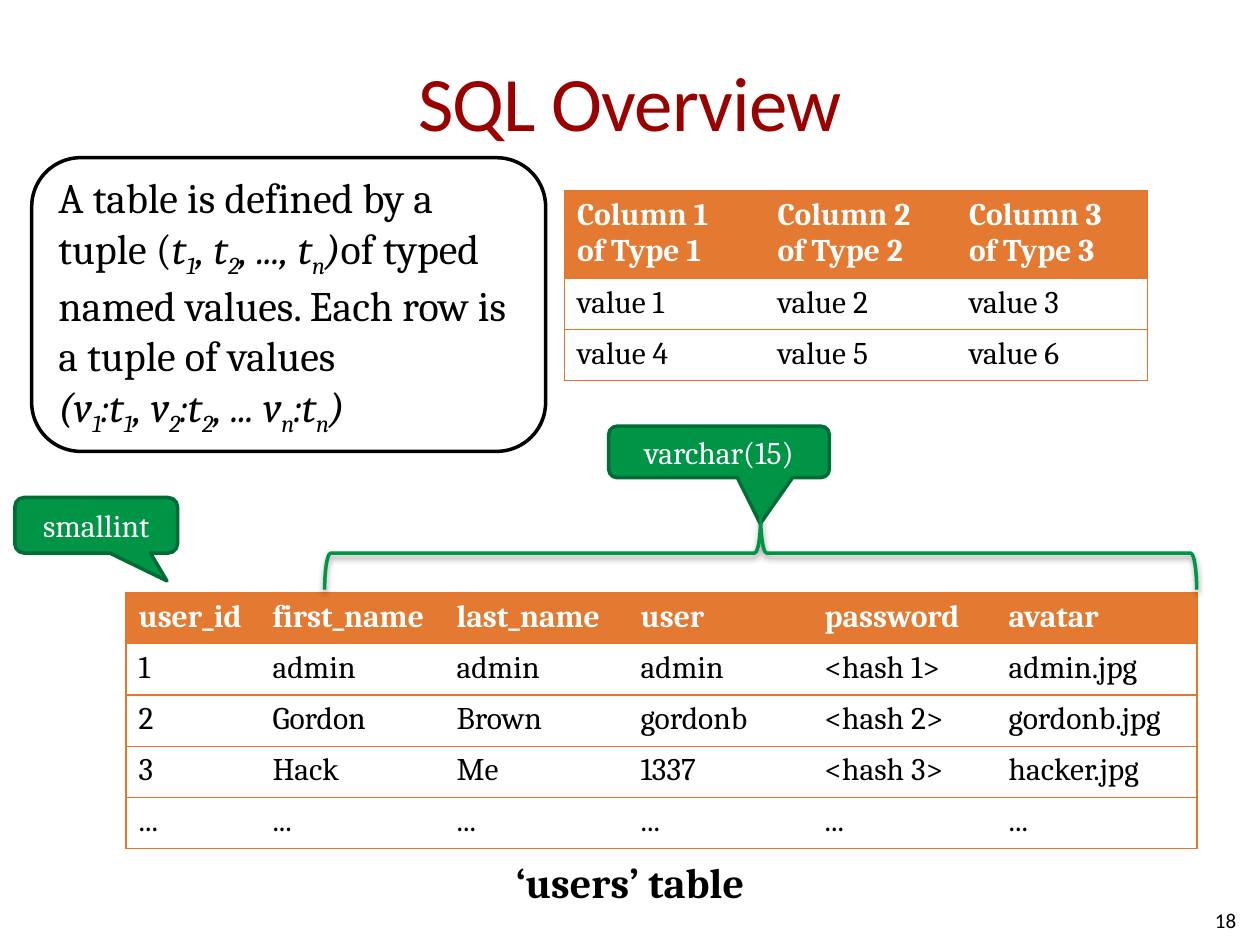
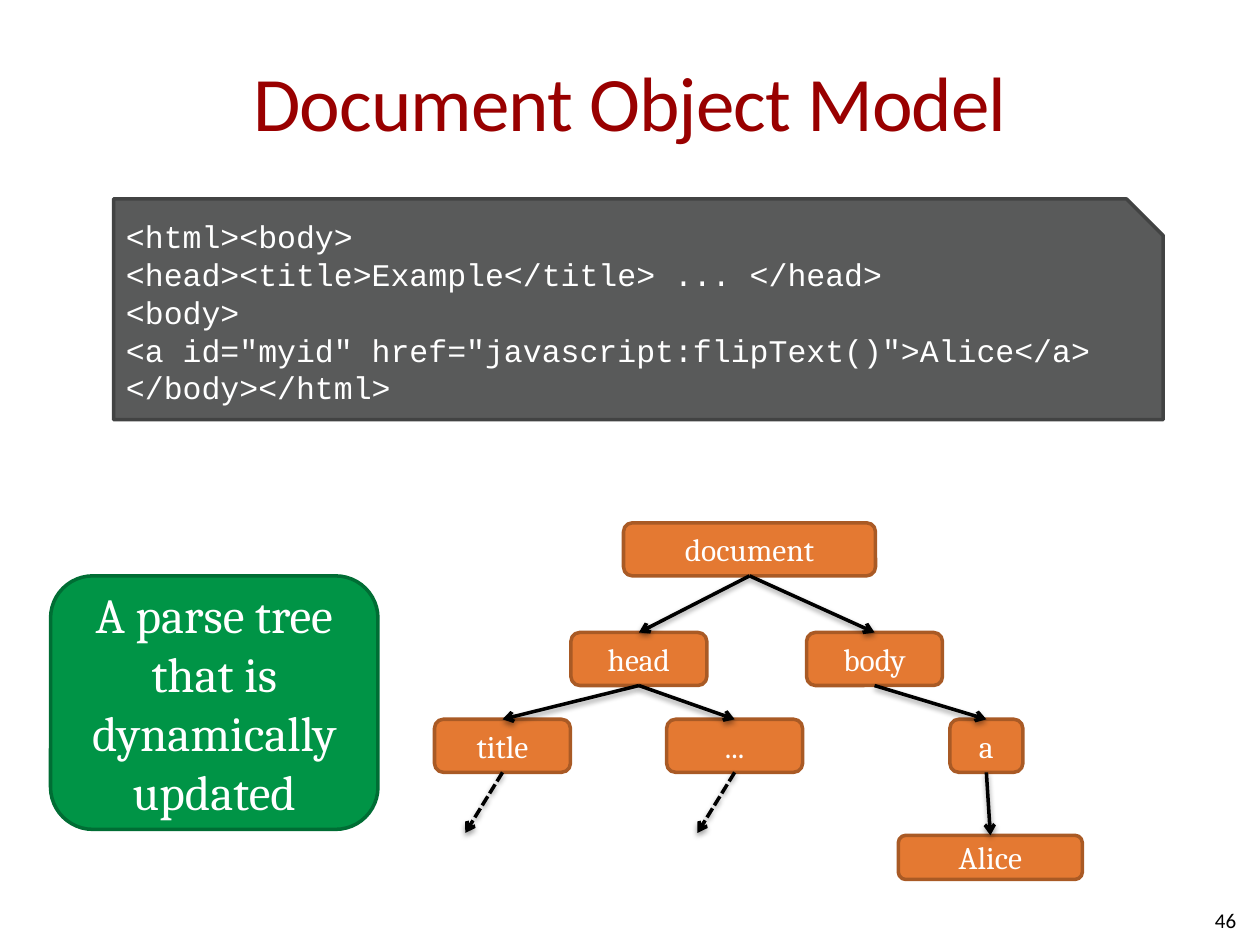
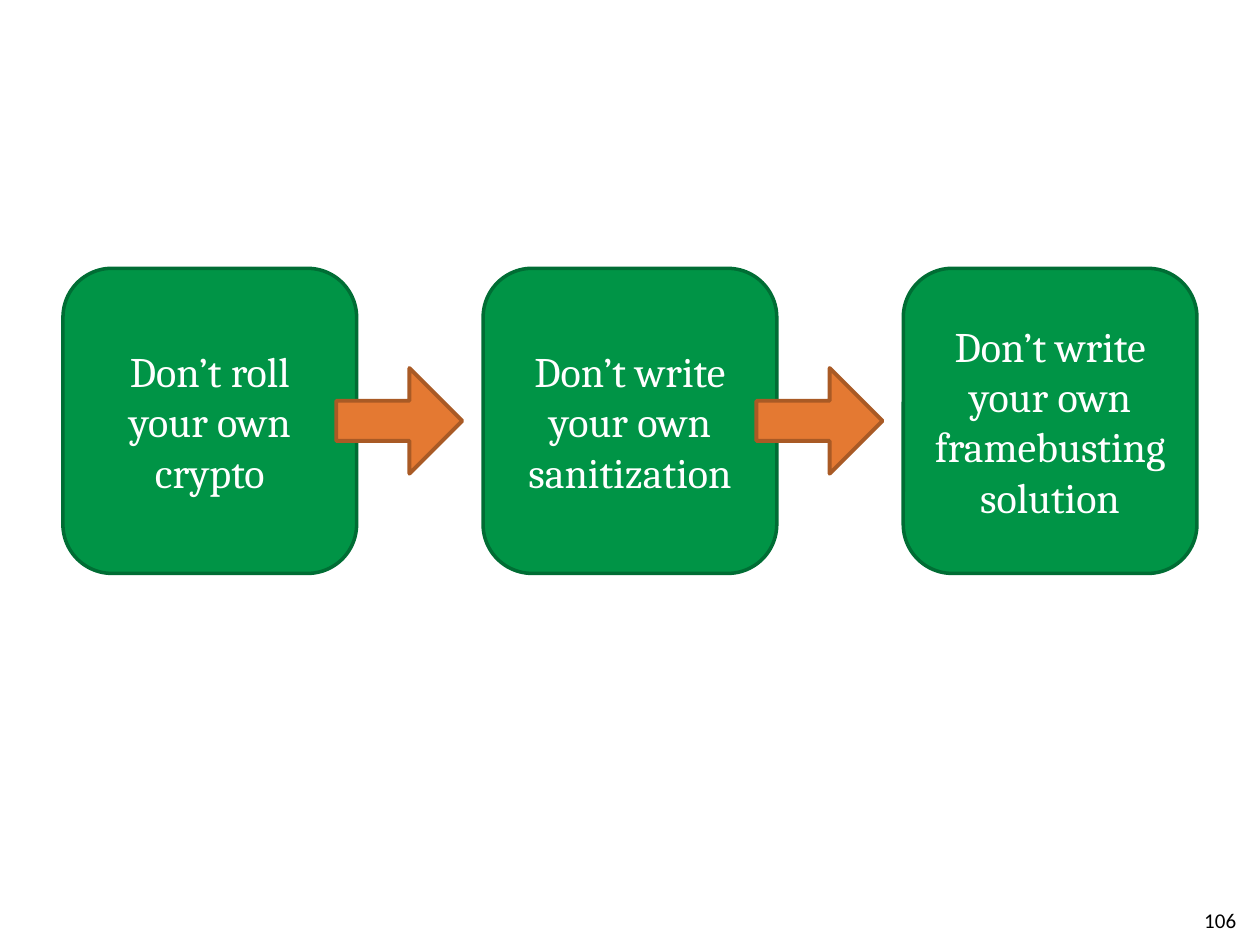
from lxml import etree
from pptx import Presentation
from pptx.dml.color import RGBColor
from pptx.enum.dml import MSO_LINE
from pptx.enum.shapes import MSO_CONNECTOR, MSO_SHAPE
from pptx.enum.text import MSO_ANCHOR, PP_ALIGN
from pptx.oxml import parse_xml
from pptx.oxml.ns import nsdecls, qn
from pptx.util import Cm, Pt

WHITE = RGBColor(0xFF, 0xFF, 0xFF)
BLACK = RGBColor(0, 0, 0)
RED = RGBColor(0x99, 0, 0)
GREEN = RGBColor(0, 0x94, 0x46)
DARK_GREEN = RGBColor(0, 0x6D, 0x34)
ORANGE = RGBColor(0xE4, 0x79, 0x32)
DARK_ORANGE = RGBColor(0xA9, 0x5A, 0x25)
BORDER = RGBColor(0xE3, 0x75, 0x2D)
GRAY = RGBColor(0x59, 0x5A, 0x5A)
DARK_GRAY = RGBColor(0x42, 0x43, 0x43)
SERIF, SANS, MONO = "Cambria", "Calibri", "Courier New"

TYPE_ROWS = [
    ["Column 1\vof Type 1", "Column 2\vof Type 2", "Column 3\vof Type 3"],
    ["value 1", "value 2", "value 3"],
    ["value 4", "value 5", "value 6"],
]
USER_ROWS = [
    ["user_id", "first_name", "last_name", "user", "password", "avatar"],
    ["1", "admin", "admin", "admin", "<hash 1>", "admin.jpg"],
    ["2", "Gordon", "Brown", "gordonb", "<hash 2>", "gordonb.jpg"],
    ["3", "Hack", "Me", "1337", "<hash 3>", "hacker.jpg"],
    ["..."] * 6,
]
DEFINITION = [
    ("A table is defined by a tuple (", ""), ("t", "i"), ("1", "sub"),
    (", t", "i"), ("2", "sub"), (", ..., t", "i"), ("n", "sub"), (")", "i"),
    ("of typed named values. Each row is a tuple of values", ""), ("\v", ""),
    ("(v", "i"), ("1", "sub"), (":t", "i"), ("1", "sub"),
    (", v", "i"), ("2", "sub"), (":t", "i"), ("2", "sub"),
    (", ... v", "i"), ("n", "sub"), (":t", "i"), ("n", "sub"), (")", "i"),
]
CALLOUTS = [
    ("smallint", (0.3, 10.03, 3.28, 1.12), (0.435, 1.001)),
    ("varchar(15)", (12.27, 8.59, 4.45, 1.04), (0.187, 1.392)),
]
CODE = [
    "<html><body>",
    "<head><title>Example</title> ... </head>",
    "<body>",
    '<a id="myid" href="javascript:flipText()">Alice</a>',
    "</body></html>",
]
NODES = {
    "document": (12.57, 10.54, 5.08, 1.07),
    "head": (11.51, 12.75, 2.74, 1.07),
    "body": (16.26, 12.75, 2.74, 1.07),
    "title": (8.76, 14.5, 2.74, 1.07),
    "...": (13.44, 14.5, 2.74, 1.07),
    "a": (19.15, 14.5, 1.47, 1.07),
    "Alice": (18.11, 16.84, 3.71, 0.89),
}
LINKS = [("document", "head"), ("document", "body"), ("head", "title"),
         ("head", "..."), ("body", "a"), ("a", "Alice")]
OPEN_NODES = ["title", "..."]
RULES = [
    "Don’t roll your own crypto",
    "Don’t write your own sanitization",
    "Don’t write your own framebusting solution",
]


def box(values):
    return [Cm(v) for v in values]


def style(p, size, color, font=SERIF, align=PP_ALIGN.LEFT, bold=False):
    p.alignment = align
    p.font.size, p.font.name, p.font.bold = Pt(size), font, bold
    p.font.color.rgb = color


def add_shadow(s):
    spPr = s._element.spPr
    for old in spPr.findall(qn("a:effectLst")):
        spPr.remove(old)
    spPr.append(parse_xml(
        f'<a:effectLst {nsdecls("a")}><a:outerShdw blurRad="40000" dist="20000" '
        'dir="5400000" rotWithShape="0"><a:srgbClr val="000000">'
        '<a:alpha val="38000"/></a:srgbClr></a:outerShdw></a:effectLst>'))


def add_label(slide, text, place, size, font=SERIF, align=PP_ALIGN.CENTER, bold=False):
    s = slide.shapes.add_textbox(*box(place))
    tf = s.text_frame
    tf.word_wrap = True
    tf.text = text
    style(tf.paragraphs[0], size, BLACK, font, align, bold)
    return s


def add_box(slide, kind, place, fill, line, text="", size=18, width=2):
    s = slide.shapes.add_shape(kind, *box(place))
    s.shadow.inherit = False
    if fill is None:
        s.fill.background()
    else:
        s.fill.solid()
        s.fill.fore_color.rgb = fill
    s.line.color.rgb = line
    s.line.width = Pt(width)
    if text:
        s.text_frame.text = text
        style(s.text_frame.paragraphs[0], size, WHITE, align=PP_ALIGN.CENTER)
    return s


def add_arrow(slide, start, target=None, offset=(0, 0)):
    x, y = start.left + start.width // 2, start.top + start.height
    c = slide.shapes.add_connector(
        MSO_CONNECTOR.STRAIGHT, x, y, x + Cm(offset[0]), y + Cm(offset[1]))
    c.begin_connect(start, 2)
    c.line.color.rgb = BLACK
    c.line.width = Pt(2)
    if target is not None:
        c.end_connect(target, 0)
    else:
        c.line.dash_style = MSO_LINE.SQUARE_DOT
    etree.SubElement(c.line._get_or_add_ln(), qn("a:tailEnd"), type="arrow")
    add_shadow(c)


def set_borders(cell, shown):
    tcPr = cell._tc.get_or_add_tcPr()
    for side in "LRTB":
        paint = (f'<a:solidFill><a:srgbClr val="{BORDER}"/></a:solidFill>'
                 if side in shown else "<a:noFill/>")
        tcPr.append(parse_xml(
            f'<a:ln{side} {nsdecls("a")} w="9525">{paint}</a:ln{side}>'))


def add_grid(slide, rows, left, top, widths, heights):
    table = slide.shapes.add_table(
        len(rows), len(widths), *box((left, top, sum(widths), sum(heights)))).table
    for col, width in zip(table.columns, widths):
        col.width = Cm(width)
    for i, (row, height) in enumerate(zip(rows, heights)):
        table.rows[i].height = Cm(height)
        for j, text in enumerate(row):
            cell = table.cell(i, j)
            cell.text = text
            header = i == 0
            sides = "TB" + "L" * (j == 0) + "R" * (j == len(row) - 1)
            set_borders(cell, sides)
            cell.fill.solid()
            cell.fill.fore_color.rgb = ORANGE if header else WHITE
            for p in cell.text_frame.paragraphs:
                style(p, 18, WHITE if header else BLACK, bold=header)


def new_slide(prs, number, title=None):
    slide = prs.slides.add_slide(prs.slide_layouts[5 if title else 6])
    if title:
        s = slide.shapes.title
        s.left, s.top, s.width, s.height = box((1.27, 0.43, 22.86, 3.18))
        tf = s.text_frame
        tf.text = title
        tf.margin_left = tf.margin_right = 0
        tf.vertical_anchor = MSO_ANCHOR.MIDDLE
        p = tf.paragraphs[0]
        style(p, 44, RED, SANS, PP_ALIGN.CENTER)
        p.runs[0]._r.get_or_add_rPr().set("spc", "-50")
    s = add_label(slide, str(number), (19.25, 18.03, 5.92, 1.02), 12, SANS, PP_ALIGN.RIGHT)
    s.text_frame.vertical_anchor = MSO_ANCHOR.MIDDLE
    return slide


def build_sql(prs):
    slide = new_slide(prs, 18, "SQL Overview")
    add_grid(slide, TYPE_ROWS, 11.38, 3.84, [4.04, 3.86, 3.86], [1.71, 1.03, 1.03])
    add_grid(slide, USER_ROWS, 2.54, 11.95, [2.7] + [3.71] * 4 + [4.05], [1.03] * 5)
    add_label(slide, "‘users’ table", (0, 17.15, 25.4, 1.27), 24, bold=True)

    s = add_box(slide, MSO_SHAPE.ROUNDED_RECTANGLE, (0.64, 3.18, 10.36, 5.92), WHITE, BLACK)
    p = s.text_frame.paragraphs[0]
    style(p, 24, BLACK)
    for text, kind in DEFINITION:
        if text == "\v":
            p.add_line_break()
            continue
        r = p.add_run()
        r.text = text
        if kind:
            r.font.italic = True
        if kind == "sub":
            r._r.get_or_add_rPr().set("baseline", "-25000")

    for text, place, tip in CALLOUTS:
        s = add_box(slide, MSO_SHAPE.ROUNDED_RECTANGULAR_CALLOUT, place, GREEN, DARK_GREEN, text)
        s.adjustments[0], s.adjustments[1] = tip
    brace = add_box(slide, MSO_SHAPE.RIGHT_BRACE, (14.6, 2.36, 1.47, 17.58), None, GREEN)
    brace.rotation = 270
    add_shadow(brace)


def build_dom(prs):
    slide = new_slide(prs, 46, "Document Object Model")
    nodes = {name: add_box(slide, MSO_SHAPE.ROUNDED_RECTANGLE, place, ORANGE, DARK_ORANGE, name)
             for name, place in NODES.items()}
    for start, target in LINKS:
        add_arrow(slide, nodes[start], nodes[target])
    for name in OPEN_NODES:
        add_arrow(slide, nodes[name], offset=(-0.75, 1.22))
    add_box(slide, MSO_SHAPE.ROUNDED_RECTANGLE, (1.02, 11.61, 6.6, 5.11), GREEN, DARK_GREEN,
            "A parse tree that is dynamically updated", 28)

    s = add_box(slide, MSO_SHAPE.SNIP_1_RECTANGLE, (2.29, 4.01, 21.16, 4.45), GRAY, DARK_GRAY)
    tf = s.text_frame
    tf.text = "\n".join(CODE)
    tf.vertical_anchor = MSO_ANCHOR.TOP
    tf.margin_top = 0
    for p in tf.paragraphs:
        style(p, 18, WHITE, MONO)


def build_rules(prs):
    slide = new_slide(prs, 106)
    step = 8.47
    for i, text in enumerate(RULES):
        add_box(slide, MSO_SHAPE.ROUNDED_RECTANGLE, (1.27 + i * step, 5.41, 5.92, 6.15),
                GREEN, DARK_GREEN, text, 24)
    for i in range(len(RULES) - 1):
        s = add_box(slide, MSO_SHAPE.RIGHT_ARROW, (6.78 + i * step, 7.42, 2.54, 2.13),
                    ORANGE, DARK_ORANGE, width=2.25)
        s.adjustments[0] = 0.38


def main():
    prs = Presentation()
    prs.slide_width, prs.slide_height = Cm(25.4), Cm(19.05)
    build_sql(prs)
    build_dom(prs)
    build_rules(prs)
    prs.save("out.pptx")


if __name__ == "__main__":
    main()
